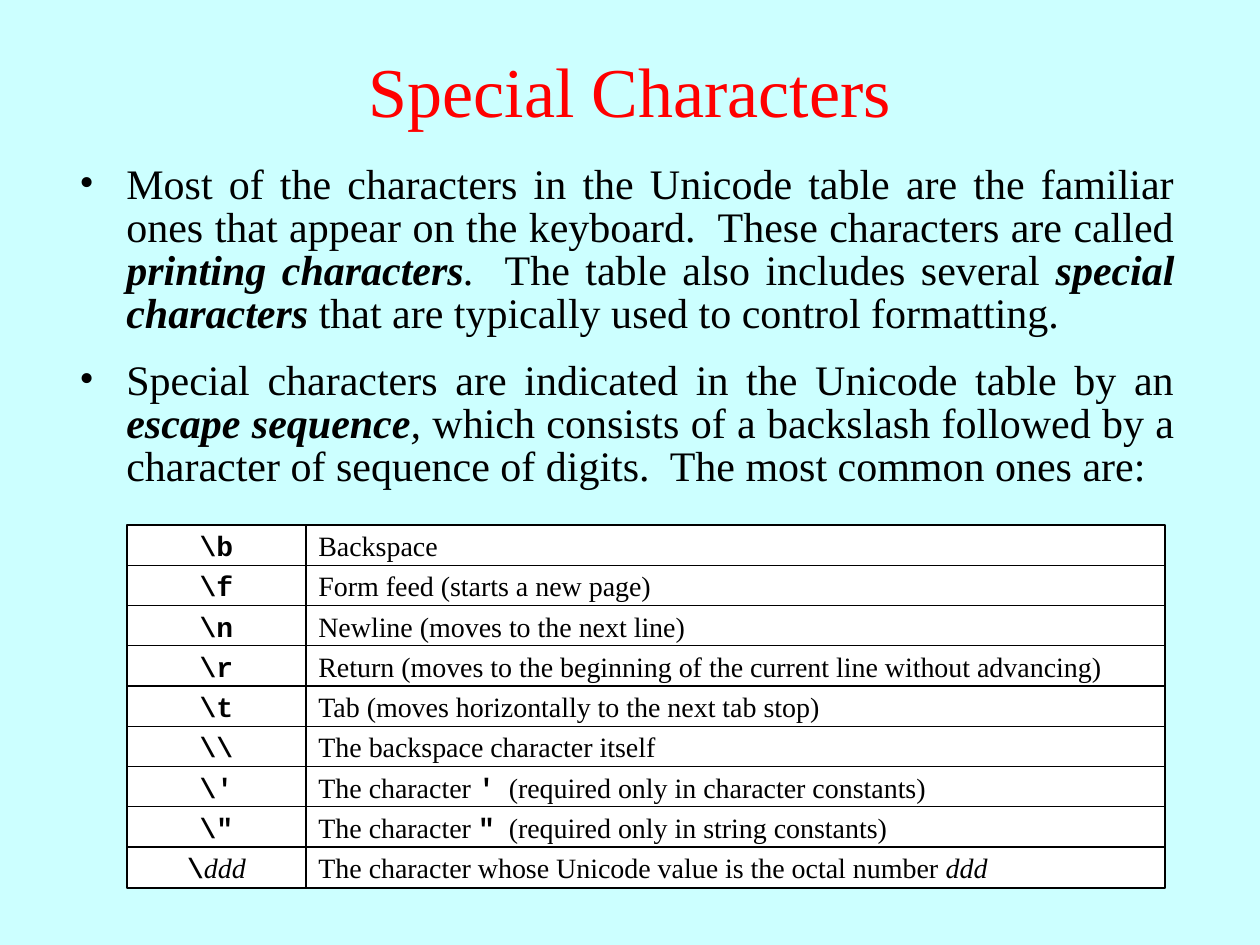
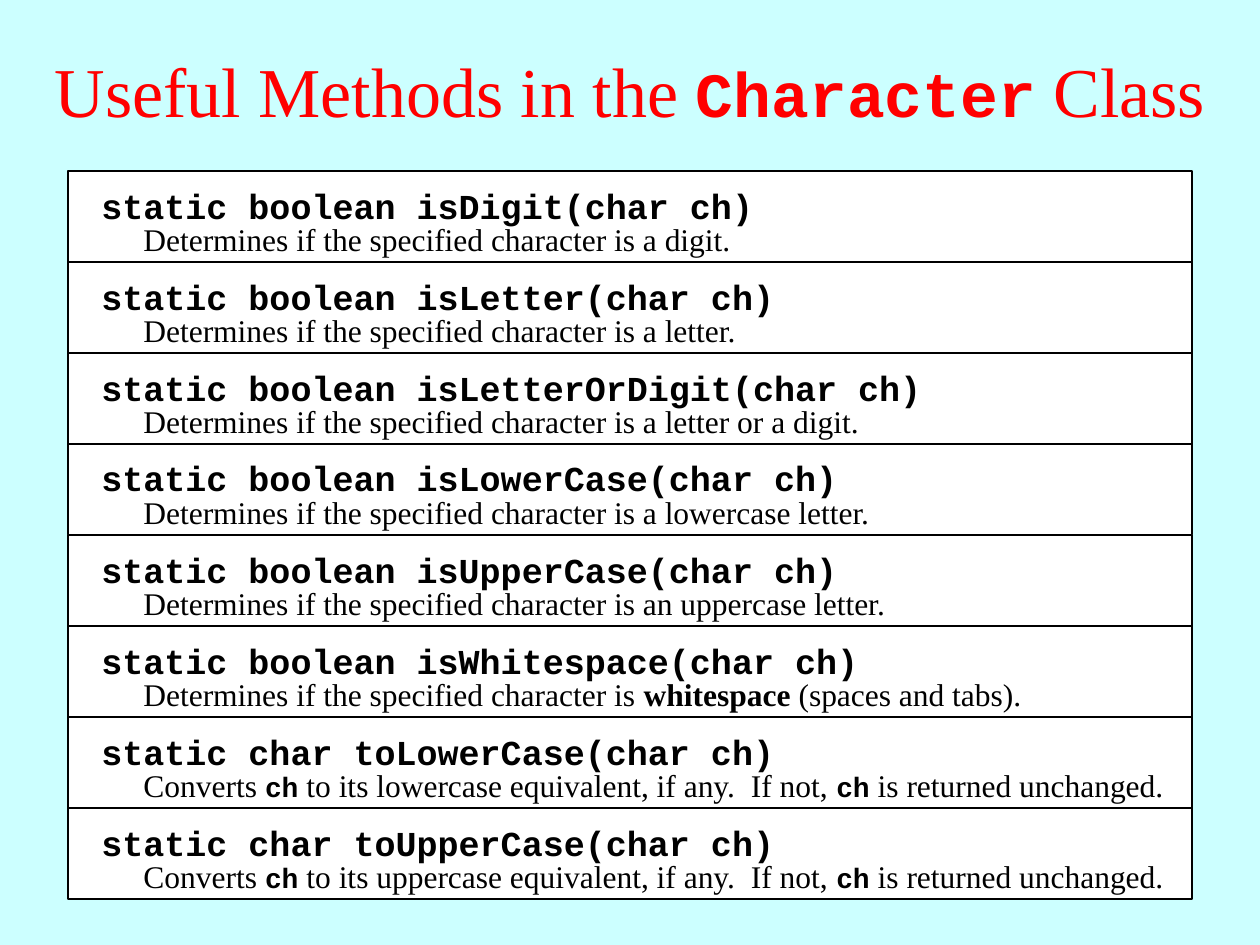
import pptx
import pptx.dml.color
import pptx.enum.shapes
import pptx.enum.text
import pptx.oxml
import pptx.oxml.ns
import pptx.util

EMU_PER_PX = 914400 / 126
COLORS = {"background": "CCFFFF", "title": "FF0000", "text": "000000", "cell": "FFFFFF"}
RGB = {name: pptx.dml.color.RGBColor.from_string(value) for name, value in COLORS.items()}
TEXT = {"name": "Times New Roman", "bold": False, "italic": False}
BOLD = TEXT | {"bold": True}
ITALIC = TEXT | {"italic": True}
TERM = TEXT | {"bold": True, "italic": True}
CODE = {"name": "Courier New", "bold": True, "italic": False}
SMALL_CODE = CODE | {"size": pptx.util.Pt(16)}
ALIGN = pptx.enum.text.PP_ALIGN
ANCHOR = pptx.enum.text.MSO_ANCHOR


def px(length):
    return pptx.util.Emu(round(length * EMU_PER_PX))


def write_runs(paragraph, runs, size, color="text"):
    for text, font_format in runs:
        run = paragraph.add_run()
        run.text = text
        for name, value in ({"size": pptx.util.Pt(size)} | font_format).items():
            setattr(run.font, name, value)
        run.font.color.rgb = RGB[color]


bullets = [
    (159, 261, [
        ("Most of the characters in the Unicode table are the familiar ones that appear on "
         "the keyboard.  These characters are called ", TEXT),
        ("printing characters", TERM),
        (".", ITALIC),
        ("  The table also includes several ", TEXT),
        ("special characters", TERM),
        (" that are typically used to control formatting.", TEXT)]),
    (355, 168, [
        ("Special characters are indicated in the Unicode table by an ", TEXT),
        ("escape sequence", TERM),
        (",", ITALIC),
        (" which consists of a backslash followed by a character of sequence of digits.  "
         "The most common ones are:", TEXT)]),
]

escapes = [
    ([(r"\b", CODE)], [("Backspace", TEXT)]),
    ([(r"\f", CODE)], [("Form feed (starts a new page)", TEXT)]),
    ([(r"\n", CODE)], [("Newline (moves to the next line)", TEXT)]),
    ([(r"\r", CODE)],
     [("Return (moves to the beginning of the current line without advancing)", TEXT)]),
    ([(r"\t", CODE)], [("Tab (moves horizontally to the next tab stop)", TEXT)]),
    ([(r"\\", CODE)], [("The backspace character itself", TEXT)]),
    ([(r"\'", CODE)], [("The character ", TEXT), ("'", CODE),
                       ("  (required only in character constants)", TEXT)]),
    ([(r'\"', CODE)], [("The character ", TEXT), ('"', CODE),
                       ("  (required only in string constants)", TEXT)]),
    ([("\\", CODE), ("ddd", ITALIC)],
     [("The character whose Unicode value is the octal number ", TEXT), ("ddd", ITALIC)]),
]

methods = []
for name, kind in [
    ("isDigit", [("a digit.", TEXT)]),
    ("isLetter", [("a letter.", TEXT)]),
    ("isLetterOrDigit", [("a letter or a digit.", TEXT)]),
    ("isLowerCase", [("a lowercase letter.", TEXT)]),
    ("isUpperCase", [("an uppercase letter.", TEXT)]),
    ("isWhitespace", [("whitespace", BOLD), (" (spaces and tabs).", TEXT)]),
]:
    methods.append(([(f"static boolean {name}(char ch)", CODE)],
                    [("Determines if the specified character is ", TEXT)] + kind))
for name, letter_case in [("toLowerCase", "lowercase"), ("toUpperCase", "uppercase")]:
    methods.append(([(f"static char {name}(char ch)", CODE)], [
        ("Converts ", TEXT), ("ch", SMALL_CODE),
        (f" to its {letter_case} equivalent, if any.  If not, ", TEXT),
        ("ch", SMALL_CODE), (" is returned unchanged.", TEXT)]))

escape_cells = [(127, 525 + 322 * row / 8, 179, 41, escape, ALIGN.CENTER)
                for row, (escape, meaning) in enumerate(escapes)]
meaning_cells = [(306, 525 + 322 * row / 8, 859, 41, meaning, ALIGN.LEFT)
                 for row, (escape, meaning) in enumerate(escapes)]
method_cells = [(68, 171 + 91 * row, 1124, 91, [], ALIGN.LEFT) for row in range(len(methods))]

pages = [
    {"title": [("Special Characters", TEXT)], "bullets": bullets, "methods": [],
     "cells": escape_cells + meaning_cells},
    {"title": [("Useful Methods in the ", TEXT),
               ("Character", CODE | {"size": pptx.util.Pt(36)}), (" Class", TEXT)],
     "bullets": [], "methods": methods, "cells": method_cells},
]

presentation = pptx.Presentation()
presentation.slide_width = px(1260)
presentation.slide_height = px(945)
background = presentation.slide_master.background.fill
background.solid()
background.fore_color.rgb = RGB["background"]

for page in pages:
    slide = presentation.slides.add_slide(presentation.slide_layouts[5])
    title = slide.shapes.title
    for name, value in {"left": 0, "top": 10, "width": 1260, "height": 158}.items():
        setattr(title, name, px(value))
    title.text_frame.auto_size = pptx.enum.text.MSO_AUTO_SIZE.NONE
    title.text_frame.vertical_anchor = ANCHOR.MIDDLE
    paragraph = title.text_frame.paragraphs[0]
    paragraph.alignment = ALIGN.CENTER
    write_runs(paragraph, page["title"], 40, "title")

    for top, height, runs in page["bullets"]:
        box = slide.shapes.add_textbox(px(67), px(top), px(1120), px(height))
        box.text_frame.word_wrap = True
        paragraph = box.text_frame.paragraphs[0]
        properties = paragraph._p.get_or_add_pPr()
        properties.set("marL", str(px(47)))
        properties.set("indent", str(px(-47)))
        namespace = pptx.oxml.ns.nsdecls("a")
        for element in (f'<a:buFont {namespace} typeface="Times New Roman"/>',
                        f'<a:buChar {namespace} char="•"/>'):
            properties.append(pptx.oxml.parse_xml(element))
        for name, value in {"alignment": ALIGN.JUSTIFY, "line_spacing": 0.85,
                            "space_after": pptx.util.Pt(15)}.items():
            setattr(paragraph, name, value)
        write_runs(paragraph, runs, 24)

    for left, top, width, height, runs, alignment in page["cells"]:
        cell = slide.shapes.add_shape(pptx.enum.shapes.MSO_SHAPE.RECTANGLE,
                                      px(left), px(top), px(width), px(height))
        cell.shadow.inherit = False
        cell.fill.solid()
        cell.fill.fore_color.rgb = RGB["cell"]
        cell.line.color.rgb = RGB["text"]
        cell.line.width = pptx.util.Pt(0.75)
        cell.text_frame.word_wrap = False
        cell.text_frame.vertical_anchor = ANCHOR.MIDDLE
        paragraph = cell.text_frame.paragraphs[0]
        paragraph.alignment = alignment
        write_runs(paragraph, runs, 16)

    for row, (signature, description) in enumerate(page["methods"]):
        for left, top, width, height, margin, runs, size in [
            (89, 171, 1081, 55, 13, signature, 20),
            (131, 210, 1050, 50, 10, description, 18),
        ]:
            box = slide.shapes.add_textbox(px(left), px(top + 91 * row), px(width), px(height))
            box.text_frame.word_wrap = True
            box.text_frame.margin_top = px(margin)
            write_runs(box.text_frame.paragraphs[0], runs, size)

presentation.save("out.pptx")
